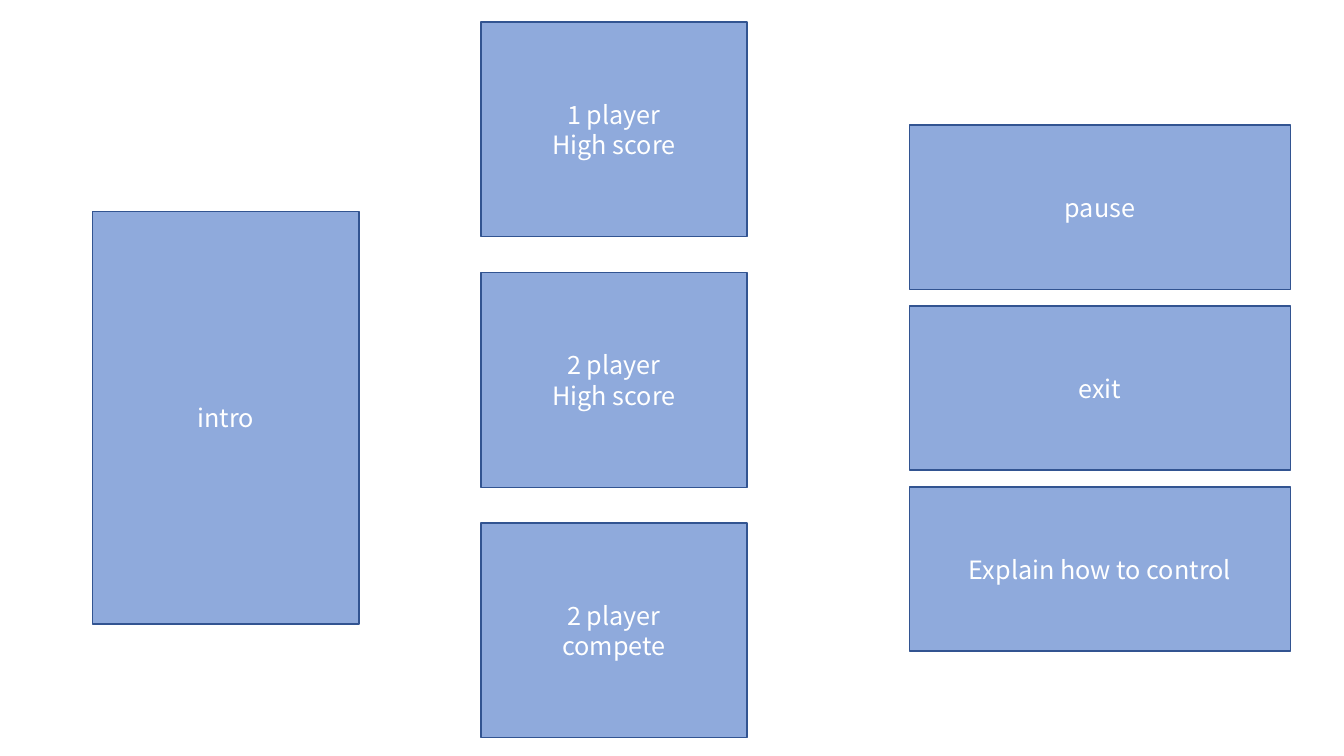
from pptx import Presentation
from pptx import util as u
from pptx.dml.color import RGBColor
from pptx.enum import shapes, text

COLORS = {"fill": "8FAADC", "line": "325491", "text": "FFFFFF"}


class Deck:
    font = "Noto Sans CJK KR"
    size = u.Pt(18)

    def __init__(self):
        self.prs = Presentation()
        self.prs.slide_width = u.Inches(13.33)
        self.prs.slide_height = u.Inches(7.5)
        self.slide = self.prs.slides.add_slide(self.prs.slide_layouts[6])

    def color(self, name):
        return RGBColor.from_string(COLORS[name])

    def box(self, left, top, width, height, lines):
        box = self.slide.shapes.add_shape(
            shapes.MSO_SHAPE.RECTANGLE,
            *(u.Inches(n) for n in (left, top, width, height)))
        box.shadow.inherit = False
        box.fill.solid()
        box.fill.fore_color.rgb = self.color("fill")
        box.line.color.rgb = self.color("line")
        box.line.width = u.Pt(1)
        frame = box.text_frame
        frame.word_wrap = True
        frame.vertical_anchor = text.MSO_ANCHOR.MIDDLE
        for i, line in enumerate(lines):
            para = frame.add_paragraph() if i else frame.paragraphs[0]
            para.alignment = text.PP_ALIGN.CENTER
            run = para.add_run()
            run.text = line
            run.font.name = self.font
            run.font.size = self.size
            run.font.color.rgb = self.color("text")

    def stack(self, left, top, width, height, step, items):
        for i, lines in enumerate(items):
            self.box(left, top + i * step, width, height, lines)


def main():
    deck = Deck()

    # Intro screen
    deck.box(0.92, 2.1, 2.64, 4.09, ["intro"])

    # Game modes
    modes = [["1 player", "High score"],
             ["2 player", "High score"],
             ["2 player", "compete"]]
    deck.stack(4.77, 0.22, 2.64, 2.13, 2.485, modes)

    # Menu screens
    deck.stack(9.02, 1.24, 3.78, 1.63, 1.795,
               [["pause"], ["exit"], ["Explain how to control"]])

    deck.prs.save("out.pptx")


if __name__ == "__main__":
    main()
